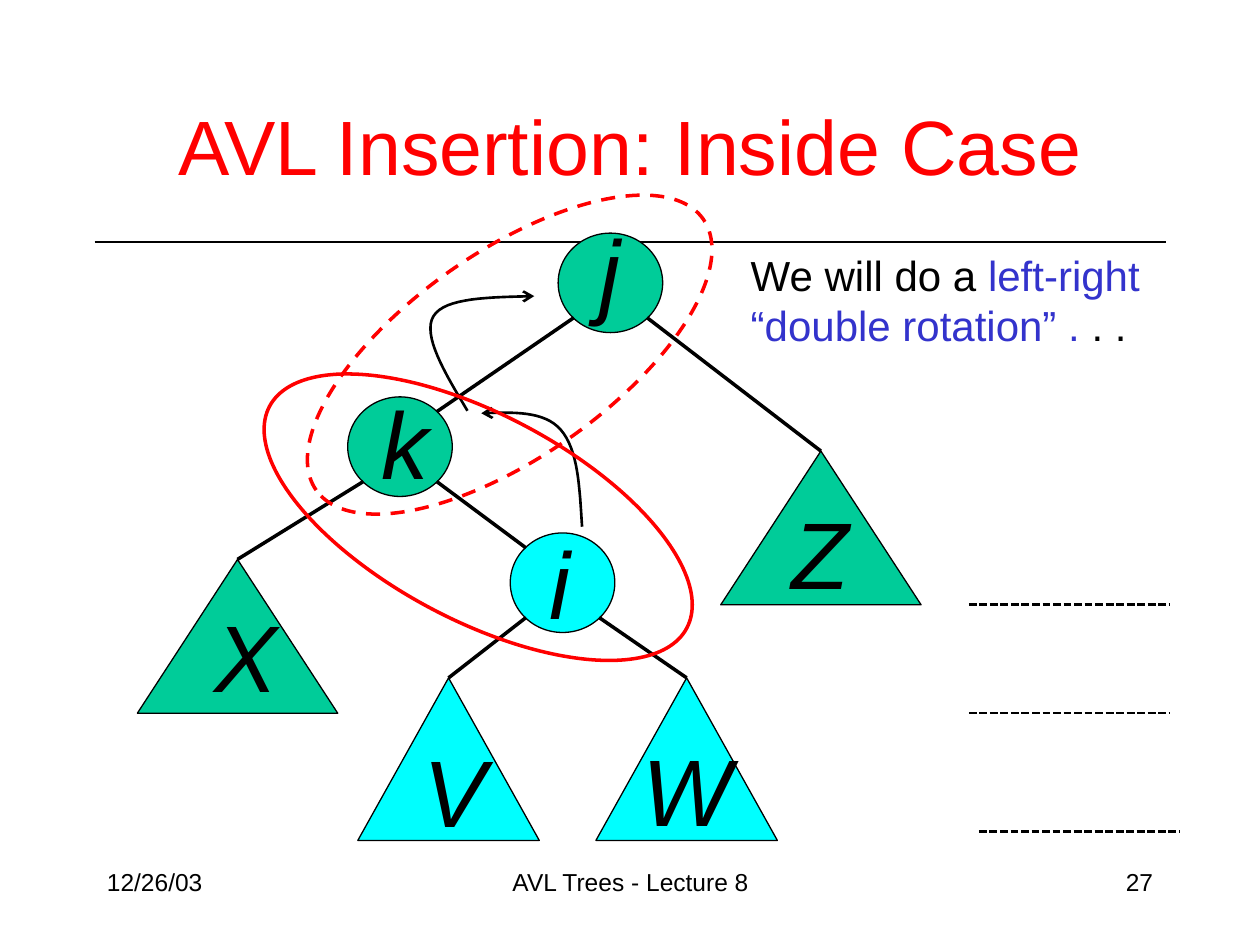
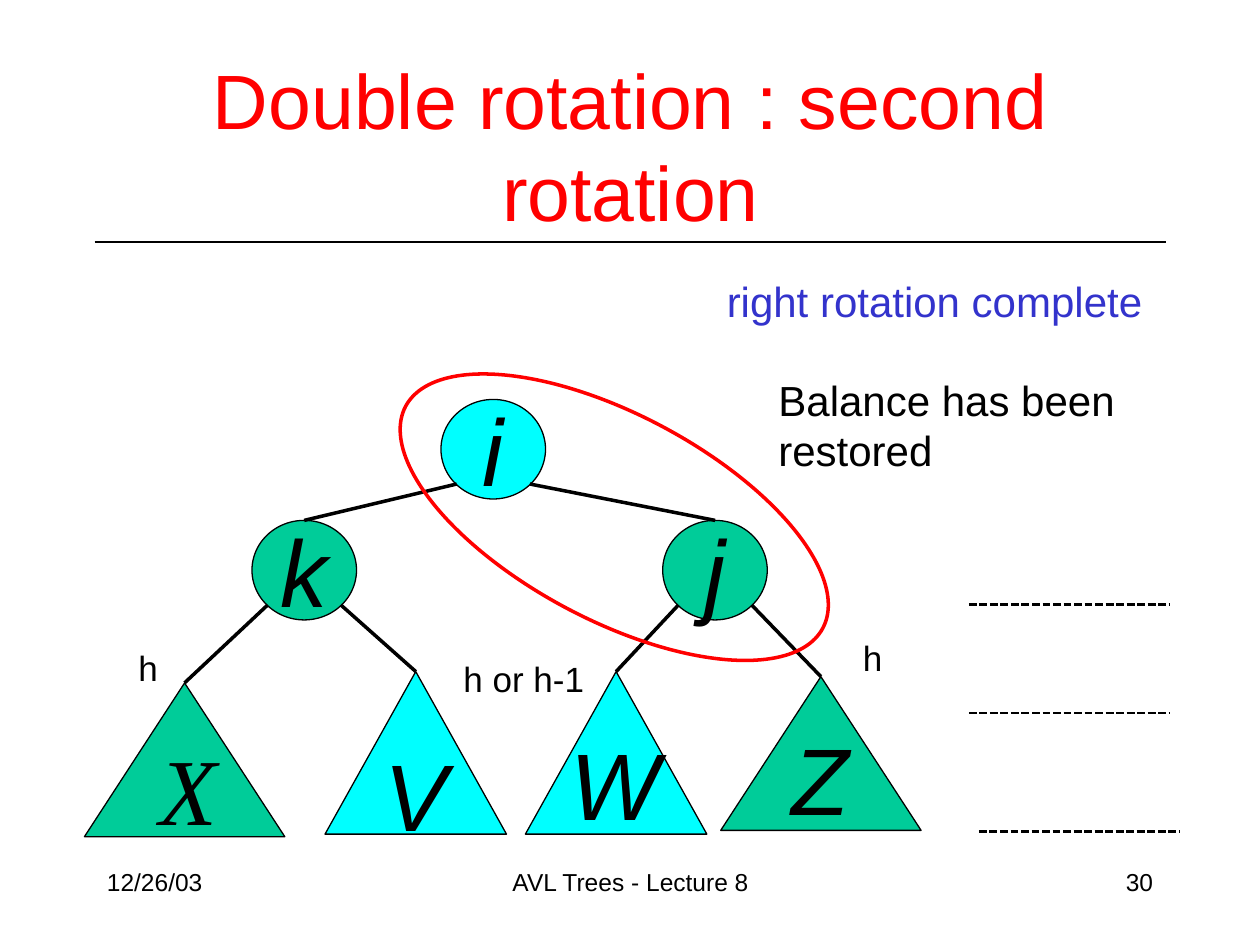
from dataclasses import dataclass

from lxml import etree
from pptx import Presentation
from pptx.dml.color import RGBColor
from pptx.enum.dml import MSO_LINE
from pptx.enum.shapes import MSO_CONNECTOR, MSO_SHAPE
from pptx.enum.text import MSO_ANCHOR, MSO_AUTO_SIZE, PP_ALIGN
from pptx.oxml.ns import qn
from pptx.util import Inches, Pt

OVAL, TRIANGLE = MSO_SHAPE.OVAL, MSO_SHAPE.ISOSCELES_TRIANGLE
STRAIGHT = MSO_CONNECTOR.STRAIGHT
DOTTED, DASHED = MSO_LINE.SQUARE_DOT, MSO_LINE.DASH
TOP, MIDDLE = MSO_ANCHOR.TOP, MSO_ANCHOR.MIDDLE
LEFT, CENTER, RIGHT = PP_ALIGN.LEFT, PP_ALIGN.CENTER, PP_ALIGN.RIGHT
FIT_TEXT, NO_FIT = MSO_AUTO_SIZE.SHAPE_TO_FIT_TEXT, MSO_AUTO_SIZE.NONE
COLUMNS, ROWS = 100, 75


@dataclass(frozen=True)
class Theme:
    font: str = "Arial"
    serif: str = "Times New Roman"
    ink: str = "000000"
    title: str = "FF0000"
    accent: str = "3333CC"
    settled: str = "00CC99"
    inserted: str = "00FFFF"
    title_size: int = 44
    letter_size: int = 54
    body_size: int = 24
    height_size: int = 20
    footer_size: int = 14
    thin: float = 0.75
    medium: float = 1.5
    thick: float = 2


@dataclass(frozen=True)
class Part:
    left: float
    top: float
    width: float
    height: float

    def at(self, across, down):
        return self.left + across * self.width, self.top + down * self.height

    @property
    def apex(self):
        return self.at(0.5, 0)

    @property
    def upper_left(self):
        return self.at(0.15, 0.15)

    @property
    def upper_right(self):
        return self.at(0.85, 0.15)

    @property
    def lower_left(self):
        return self.at(0.15, 0.85)

    @property
    def lower_right(self):
        return self.at(0.85, 0.85)


class Deck:
    def __init__(self, theme):
        self.theme = theme
        self.file = Presentation()
        self.file.slide_width, self.file.slide_height = Inches(10), Inches(7.5)
        self.column = self.file.slide_width / COLUMNS
        self.row = self.file.slide_height / ROWS
        self.slide = None

    def place(self, *lengths):
        units = (self.column, self.row) * 2
        return [round(length * unit) for length, unit in zip(lengths, units)]

    def open_slide(self, title, number):
        theme = self.theme
        self.slide = self.file.slides.add_slide(self.file.slide_layouts[5])
        heading = self.slide.shapes.title
        heading.left, heading.top, heading.width, heading.height = self.place(7.3, 7.1, 85.5, 8.8)
        frame = heading.text_frame
        frame.auto_size, frame.vertical_anchor = NO_FIT, MIDDLE
        self.add_words(frame, [[(title, theme.title)]], theme.title_size, CENTER)
        self.line((7.5, 19.2), (92.5, 19.2), theme.thin)
        footers = (("12/26/03", 7.5, 20.8, LEFT),
                   ("AVL Trees - Lecture 8", 34.2, 31.7, CENTER),
                   (number, 71.7, 20.8, RIGHT))
        for words, left, width, align in footers:
            self.text([[(words, theme.ink)]], (left, 68.3, width, 5),
                      theme.footer_size, align=align, fit=NO_FIT)
        for left, level in ((76.9, 48), (76.9, 56.6), (77.7, 66)):
            self.line((left, level), (left + 15.9, level), theme.medium, DOTTED)

    def add_words(self, frame, paragraphs, size, align=LEFT, font=None, italic=False):
        for index, pieces in enumerate(paragraphs):
            paragraph = frame.add_paragraph() if index else frame.paragraphs[0]
            paragraph.alignment = align
            for words, color in pieces:
                run = paragraph.add_run()
                run.text = words
                run.font.name = font or self.theme.font
                run.font.size = Pt(size)
                run.font.italic = italic
                run.font.color.rgb = RGBColor.from_string(color)

    def text(self, paragraphs, box, size, wrap=True, align=LEFT, fit=FIT_TEXT,
             anchor=TOP, font=None, italic=False):
        frame = self.slide.shapes.add_textbox(*self.place(*box)).text_frame
        frame.word_wrap, frame.auto_size, frame.vertical_anchor = wrap, fit, anchor
        self.add_words(frame, paragraphs, size, align, font, italic)
        return frame

    def letter(self, name, left, top, font=None):
        frame = self.text([[(name, self.theme.ink)]], (left, top, 5.1, 10),
                          self.theme.letter_size, font=font, italic=True)
        properties = frame.paragraphs[0]._p.get_or_add_pPr()
        before = etree.SubElement(properties, qn("a:spcBef"))
        etree.SubElement(before, qn("a:spcPct")).set("val", "50000")

    def stroke(self, shape, color, width, dash=None):
        shape.line.color.rgb = RGBColor.from_string(color)
        shape.line.width = Pt(width)
        if dash:
            shape.line.dash_style = dash

    def outline(self, kind, part, fill, name):
        box = self.place(part.left, part.top, part.width, part.height)
        shape = self.slide.shapes.add_shape(kind, *box)
        shape.shadow.inherit = False
        shape.fill.solid()
        shape.fill.fore_color.rgb = RGBColor.from_string(fill)
        self.stroke(shape, self.theme.ink, self.theme.thin)
        if name:
            frame = shape.text_frame
            frame.word_wrap, frame.vertical_anchor = False, MIDDLE
            self.add_words(frame, [[(name, self.theme.ink)]],
                           self.theme.letter_size, CENTER, italic=True)
        return part

    def node(self, left, top, fill, name=None):
        return self.outline(OVAL, Part(left, top, 8.3, 7.9), fill, name)

    def settled_subtree(self, left, top):
        return self.outline(TRIANGLE, Part(left, top, 15.9, 12.2), self.theme.settled, None)

    def inserted_subtree(self, left, top, name=None):
        return self.outline(TRIANGLE, Part(left, top, 14.4, 12.9), self.theme.inserted, name)

    def line(self, start, end, width, dash=None):
        connector = self.slide.shapes.add_connector(STRAIGHT, *self.place(*start, *end))
        self.stroke(connector, self.theme.ink, width, dash)
        etree.SubElement(connector._element.spPr, qn("a:effectLst"))

    def edges(self, *pairs):
        for parent, child in pairs:
            self.line(parent, child, self.theme.thick)

    def ring(self, left, top, angle, dash=None):
        ring = self.slide.shapes.add_shape(OVAL, *self.place(left, top, 37.5, 16.3))
        ring.shadow.inherit = False
        ring.fill.background()
        ring.rotation = angle
        self.stroke(ring, self.theme.title, self.theme.thick, dash)

    def curved_arrow(self, start, *curves, steps=16):
        points, origin = [], start
        for first, second, end in curves:
            for step in range(1, steps + 1):
                t = step / steps
                weights = ((1 - t) ** 3, 3 * t * (1 - t) ** 2, 3 * t * t * (1 - t), t ** 3)
                corners = (origin, first, second, end)
                points.append(self.place(*(
                    sum(w * corner[axis] for w, corner in zip(weights, corners))
                    for axis in (0, 1))))
            origin = end
        builder = self.slide.shapes.build_freeform(*self.place(*start))
        builder.add_line_segments(points, close=False)
        arrow = builder.convert_to_shape()
        arrow.shadow.inherit = False
        arrow.fill.background()
        self.stroke(arrow, self.theme.ink, self.theme.medium)
        outline = arrow._element.spPr.find(qn("a:ln"))
        etree.SubElement(outline, qn("a:tailEnd")).set("type", "arrow")


def inside_case(deck):
    theme = deck.theme
    deck.open_slide("AVL Insertion: Inside Case", "27")
    j = deck.node(44.3, 18.5, theme.settled)
    k = deck.node(27.6, 31.5, theme.settled)
    i = deck.node(40.5, 42.3, theme.inserted)
    x = deck.settled_subtree(10.9, 44.4)
    z = deck.settled_subtree(57.2, 35.8)
    v = deck.inserted_subtree(28.4, 53.8)
    w = deck.inserted_subtree(47.3, 53.8)
    deck.edges((j.lower_left, k.upper_right), (j.lower_right, z.apex),
               (k.lower_left, x.apex), (k.lower_right, i.upper_left),
               (i.lower_left, v.apex), (i.lower_right, w.apex))
    for name, left, top in (("j", 46.6, 16.4), ("k", 29.3, 30.1), ("i", 42.6, 41.2),
                            ("X", 16, 47), ("V", 32.6, 57.7),
                            ("Z", 61.8, 38.8), ("W", 50, 57.6)):
        deck.letter(name, left, top)
    deck.text([[("We will do a ", theme.ink), ("left-right ", theme.accent)],
               [("\u201cdouble rotation\u201d .", theme.accent), (" . .", theme.ink)]],
              (58.6, 19.3, 33.9, 9), theme.body_size, wrap=False)
    deck.curved_arrow((46.2, 41.8), ((46, 38.7), (45.9, 35.7), (44.5, 34.1)),
                      ((43.2, 32.6), (40.7, 32.7), (38.2, 32.8)))
    deck.curved_arrow((37.1, 32.6), ((35.3, 29.6), (33.5, 26.6), (34.4, 25.1)),
                      ((35.3, 23.6), (38.9, 23.6), (42.4, 23.5)))
    deck.ring(19.2, 32.9, 28)
    deck.ring(21.7, 20, 325, DASHED)


def second_rotation(deck):
    theme = deck.theme
    deck.open_slide("Double rotation : second rotation", "30")
    i = deck.node(35, 31.7, theme.inserted, "i")
    k = deck.node(20, 41.3, theme.settled, "k")
    j = deck.node(52.6, 41.3, theme.settled, "j")
    x = deck.settled_subtree(6.7, 54.2)
    v = deck.inserted_subtree(25.8, 53.3, "V")
    w = deck.inserted_subtree(41.7, 53.3)
    z = deck.settled_subtree(57.2, 53.7)
    deck.edges((i.lower_left, k.apex), (i.lower_right, j.apex),
               (k.lower_left, x.apex), (k.lower_right, v.apex),
               (j.lower_left, w.apex), (j.lower_right, z.apex))
    deck.letter("X", 11.7, 57.5, theme.serif)
    deck.letter("W", 44.3, 57.1)
    deck.letter("Z", 61.8, 56.7)
    deck.ring(30, 32.9, 28)
    deck.text([[("right rotation complete", theme.accent)]],
              (56.7, 21.4, 35, 5), theme.body_size, wrap=False)
    deck.text([[("Balance has been ", theme.ink)], [("restored", theme.ink)]],
              (60.8, 29.2, 29.7, 9), theme.body_size, wrap=False, anchor=MIDDLE)
    for height, left, top, width in (("h", 67.5, 50, 3.6), ("h", 10, 50.8, 3.6),
                                     ("h or h-1", 35.8, 51.7, 11.6)):
        deck.text([[(height, theme.ink)]], (left, top, width, 4.3),
                  theme.height_size, wrap=False)


deck = Deck(Theme())
inside_case(deck)
second_rotation(deck)
deck.file.save("out.pptx")
